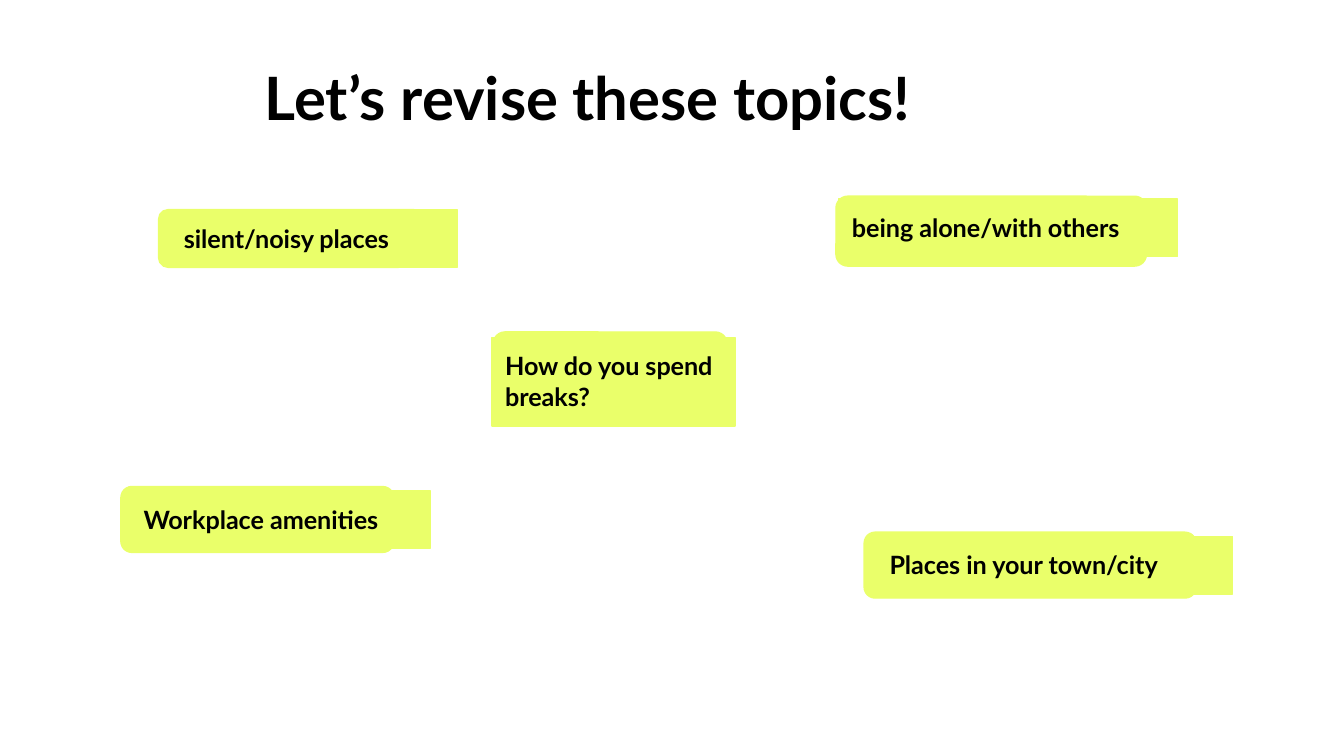
"""Builds a slide of revision topics on highlighted labels."""
from dataclasses import dataclass

from pptx import Presentation
from pptx.dml.color import RGBColor
from pptx.enum.shapes import MSO_SHAPE as Shape
from pptx.enum.text import MSO_ANCHOR as Anchor, MSO_AUTO_SIZE as AutoSize, PP_ALIGN as Align
from pptx.shapes.autoshape import Shape as AutoShape
from pptx.shapes.group import GroupShape
from pptx.slide import Slide
from pptx.util import Inches, Pt


@dataclass(frozen=True)
class Theme:
    """Colours, font and type sizes of the slide."""
    font: str = "Lato"
    ink: RGBColor = RGBColor(0x00, 0x00, 0x00)
    paper: RGBColor = RGBColor(0xFF, 0xFF, 0xFF)
    highlight: RGBColor = RGBColor(0xEA, 0xFF, 0x6A)
    title_size: float = 32
    topic_size: float = 13.5
    line_width: float = 0.75
    corner: float = 0.167
    inset: float = 0.1


@dataclass(frozen=True)
class Area:
    """A rectangle in inches."""
    left: float
    top: float
    width: float
    height: float


@dataclass(frozen=True)
class Topic:
    """A topic with its rounded backing and its text label."""
    text: str
    backing: Area
    label: Area


THEME = Theme()
SLIDE_WIDTH = 10
SLIDE_HEIGHT = SLIDE_WIDTH * 9 / 16
TITLE_AREA = Area(1.87, 0.41, 8.13, 0.69)
TOPICS = (
    Topic("silent/noisy places", Area(1.18, 1.56, 1.97, 0.43), Area(1.27, 1.56, 2.13, 0.43)),
    Topic("being alone/with others", Area(6.22, 1.46, 2.31, 0.52), Area(6.24, 1.48, 2.52, 0.43)),
    Topic("Workplace amenities", Area(0.9, 3.62, 2.03, 0.49), Area(0.97, 3.65, 2.23, 0.43)),
    Topic("Places in your town/city", Area(6.43, 3.96, 2.47, 0.49), Area(6.52, 3.99, 2.65, 0.43)),
    Topic("How do you spend breaks?", Area(3.67, 2.47, 1.74, 0.52), Area(3.66, 2.51, 1.81, 0.66)),
)


def write_text(box: AutoShape, text: str, *, size: float, line_spacing: float = 1.0) -> None:
    """Write bold, left-aligned text from the top of a box."""
    frame = box.text_frame
    frame.word_wrap = True
    frame.auto_size = AutoSize.SHAPE_TO_FIT_TEXT
    frame.vertical_anchor = Anchor.TOP
    frame.margin_left = frame.margin_right = Inches(THEME.inset)
    frame.margin_top = frame.margin_bottom = Inches(THEME.inset)
    para = frame.paragraphs[0]
    para.alignment = Align.LEFT
    para.line_spacing = line_spacing
    para.space_before = Pt(0)
    span = para.add_run()
    span.text = text
    span.font.name = THEME.font
    span.font.size = Pt(size)
    span.font.bold = True
    span.font.color.rgb = THEME.ink


def draw_title(page: Slide, text: str, area: Area) -> None:
    """Place the title placeholder and fill it."""
    title = page.shapes.title
    title.left, title.top = Inches(area.left), Inches(area.top)
    title.width, title.height = Inches(area.width), Inches(area.height)
    write_text(title, text, size=THEME.title_size, line_spacing=0.9)


def draw_panel(group: GroupShape, kind: Shape, area: Area) -> AutoShape:
    """Add a highlighted panel to a group."""
    panel = group.shapes.add_shape(
        kind, Inches(area.left), Inches(area.top), Inches(area.width), Inches(area.height))
    panel.shadow.inherit = False
    panel.fill.solid()
    panel.fill.fore_color.rgb = THEME.highlight
    panel.line.color.rgb = THEME.highlight
    panel.line.width = Pt(THEME.line_width)
    return panel


def draw_topic(page: Slide, topic: Topic) -> None:
    """Draw a topic as a group of backing and label."""
    group = page.shapes.add_group_shape()
    backing = draw_panel(group, Shape.ROUNDED_RECTANGLE, topic.backing)
    backing.adjustments[0] = THEME.corner
    label = draw_panel(group, Shape.RECTANGLE, topic.label)
    write_text(label, topic.text, size=THEME.topic_size)


def main() -> None:
    """Build and save the deck."""
    deck = Presentation()
    deck.slide_width, deck.slide_height = Inches(SLIDE_WIDTH), Inches(SLIDE_HEIGHT)
    page = deck.slides.add_slide(deck.slide_layouts.get_by_name("Title Only"))
    page.background.fill.solid()
    page.background.fill.fore_color.rgb = THEME.paper
    draw_title(page, "Let’s revise these topics!", TITLE_AREA)
    for topic in TOPICS:
        draw_topic(page, topic)
    deck.save("out.pptx")


if __name__ == "__main__":
    main()
